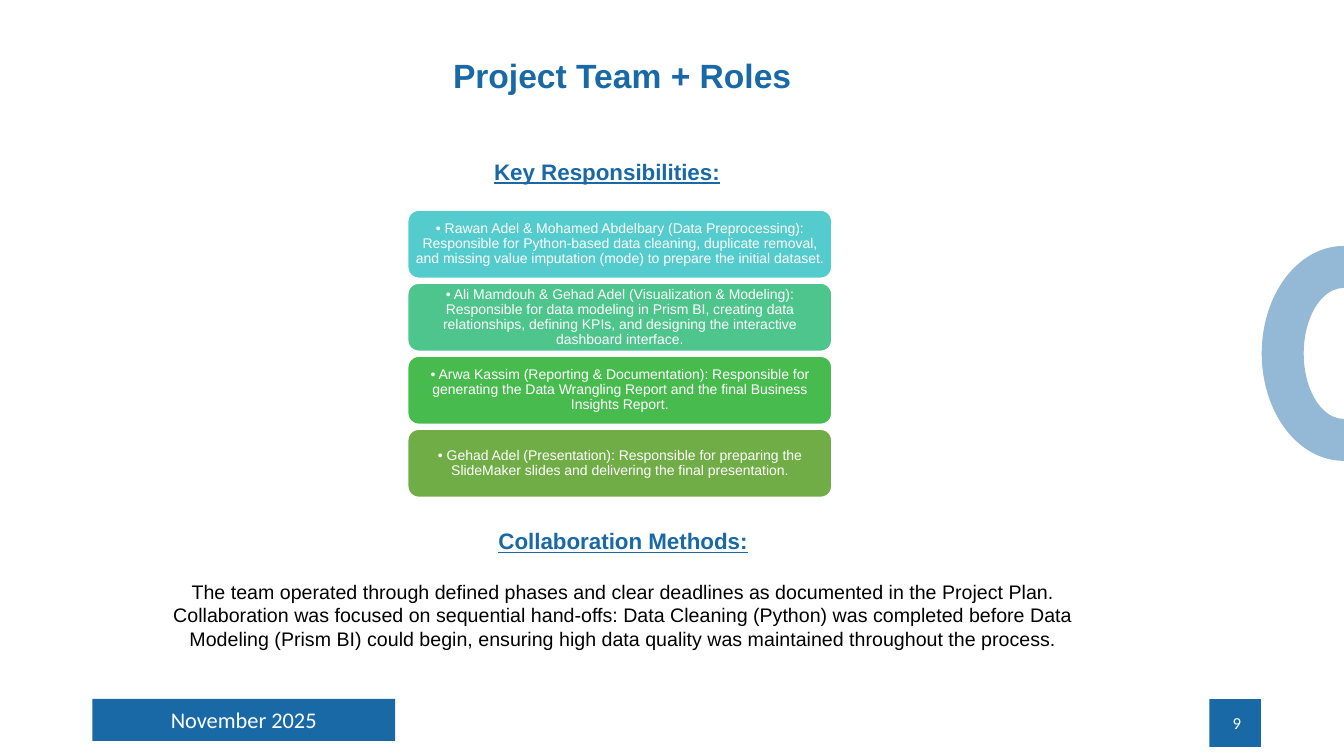
from pptx import Presentation
from pptx.dml.color import RGBColor
from pptx.enum.shapes import MSO_SHAPE
from pptx.enum.text import MSO_ANCHOR, MSO_AUTO_SIZE, PP_ALIGN
from pptx.util import Cm, Pt

BLUE = RGBColor(0x18, 0x69, 0xA6)
PALE_BLUE = RGBColor(0x94, 0xB9, 0xD6)
CYAN = RGBColor(0x54, 0xCC, 0xCD)
MINT = RGBColor(0x4D, 0xC5, 0x8D)
GREEN = RGBColor(0x48, 0xBB, 0x4F)
OLIVE = RGBColor(0x70, 0xAD, 0x47)
WHITE = RGBColor(0xFF, 0xFF, 0xFF)
BLACK = RGBColor(0x00, 0x00, 0x00)

TITLE = dict(size=Pt(24), name="Arial", bold=True)
HEADING = dict(size=Pt(16), name="Arial", bold=True, underline=True)
BODY = dict(size=Pt(14), name="Arial")
ROLE = dict(size=Pt(10), name="Arial")
DATE = dict(size=Pt(16), name="Calibri")
NUMBER = dict(size=Pt(12), name="Calibri")

ROLES = [
    (CYAN, "• Rawan Adel & Mohamed Abdelbary (Data Preprocessing): Responsible for "
           "Python-based data cleaning, duplicate removal, and missing value "
           "imputation (mode) to prepare the initial dataset."),
    (MINT, "• Ali Mamdouh & Gehad Adel (Visualization & Modeling): Responsible for "
           "data modeling in Prism BI, creating data relationships, defining KPIs, "
           "and designing the interactive dashboard interface."),
    (GREEN, "• Arwa Kassim (Reporting & Documentation): Responsible for generating "
            "the Data Wrangling Report and the final Business Insights Report."),
    (OLIVE, "• Gehad Adel (Presentation): Responsible for preparing the SlideMaker "
            "slides and delivering the final presentation."),
]
METHODS = ("The team operated through defined phases and clear deadlines as documented "
           "in the Project Plan. Collaboration was focused on sequential hand-offs: "
           "Data Cleaning (Python) was completed before Data Modeling (Prism BI) could "
           "begin, ensuring high data quality was maintained throughout the process.")


class SlideBuilder:
    def __init__(self, prs):
        self.slide = prs.slides.add_slide(prs.slide_layouts[5])

    def fill_text(self, tf, paragraphs, anchor=MSO_ANCHOR.MIDDLE, margins=(0.25, 0.13),
                  **para_format):
        """Fill a frame with (text, font style, colour) paragraphs."""
        side, edge = Cm(margins[0]), Cm(margins[1])
        frame = dict(word_wrap=True, auto_size=MSO_AUTO_SIZE.NONE,
                     vertical_anchor=anchor, margin_left=side, margin_right=side,
                     margin_top=edge, margin_bottom=edge)
        for key, value in frame.items():
            setattr(tf, key, value)
        for i, (text, style, color) in enumerate(paragraphs):
            p = tf.add_paragraph() if i else tf.paragraphs[0]
            for key, value in {"alignment": PP_ALIGN.CENTER, **para_format}.items():
                setattr(p, key, value)
            r = p.add_run()
            r.text = text
            for key, value in style.items():
                setattr(r.font, key, value)
            r.font.color.rgb = color

    def title(self, box, text):
        sp = self.slide.shapes.title
        sp.left, sp.top, sp.width, sp.height = map(Cm, box)
        self.fill_text(sp.text_frame, [(text, TITLE, BLUE)], line_spacing=0.9)

    def text(self, box, paragraphs, **options):
        sp = self.slide.shapes.add_textbox(*map(Cm, box))
        self.fill_text(sp.text_frame, paragraphs, **options)
        return sp

    def shape(self, kind, box, fill, line=None, width=1):
        sp = self.slide.shapes.add_shape(kind, *map(Cm, box))
        sp.shadow.inherit = False
        sp.fill.solid()
        sp.fill.fore_color.rgb = fill
        if line is None:
            sp.line.fill.background()
        else:
            sp.line.color.rgb = line
            sp.line.width = Pt(width)
        return sp


def main():
    prs = Presentation()
    prs.slide_width, prs.slide_height = Cm(33.87), Cm(19.05)
    s = SlideBuilder(prs)

    # Footer and side arc
    date = s.shape(MSO_SHAPE.RECTANGLE, (2.33, 17.61, 7.63, 1.06), BLUE)
    s.fill_text(date.text_frame, [("November 2025", DATE, WHITE)])
    number = s.shape(MSO_SHAPE.RECTANGLE, (30.48, 17.62, 1.3, 1.2), BLUE)
    s.fill_text(number.text_frame, [("9", NUMBER, WHITE)], margins=(0.5, 0.1),
                alignment=PP_ALIGN.RIGHT)
    arc = s.shape(MSO_SHAPE.BLOCK_ARC, (31.17, 6.86, 5.38, 4.09), PALE_BLUE, PALE_BLUE)
    arc.rotation = 270
    for i, value in enumerate((108, 0, 0.25)):
        arc.adjustments[i] = value

    # Title
    s.title((7.21, 1.37, 16.94, 1.17), "Project Team + Roles")

    # Responsibilities
    s.text((10.03, 3.58, 10.54, 1.57), [("Key Responsibilities:", HEADING, BLUE)],
           line_spacing=0.9)
    for i, (color, role) in enumerate(ROLES):
        card = s.shape(MSO_SHAPE.ROUNDED_RECTANGLE, (10.26, 5.28 + 1.84 * i, 10.72, 1.75),
                       color, WHITE, 2)
        s.fill_text(card.text_frame, [(role, ROLE, WHITE)], margins=(0.1, 0.05),
                    line_spacing=0.9)

    # Collaboration
    methods = s.text((3.68, 13.16, 24.05, 3.43),
                     [("Collaboration Methods:", HEADING, BLUE), (METHODS, BODY, BLACK)],
                     anchor=MSO_ANCHOR.TOP)
    methods.text_frame.paragraphs[1].space_before = Pt(18)

    prs.save("out.pptx")


if __name__ == "__main__":
    main()
